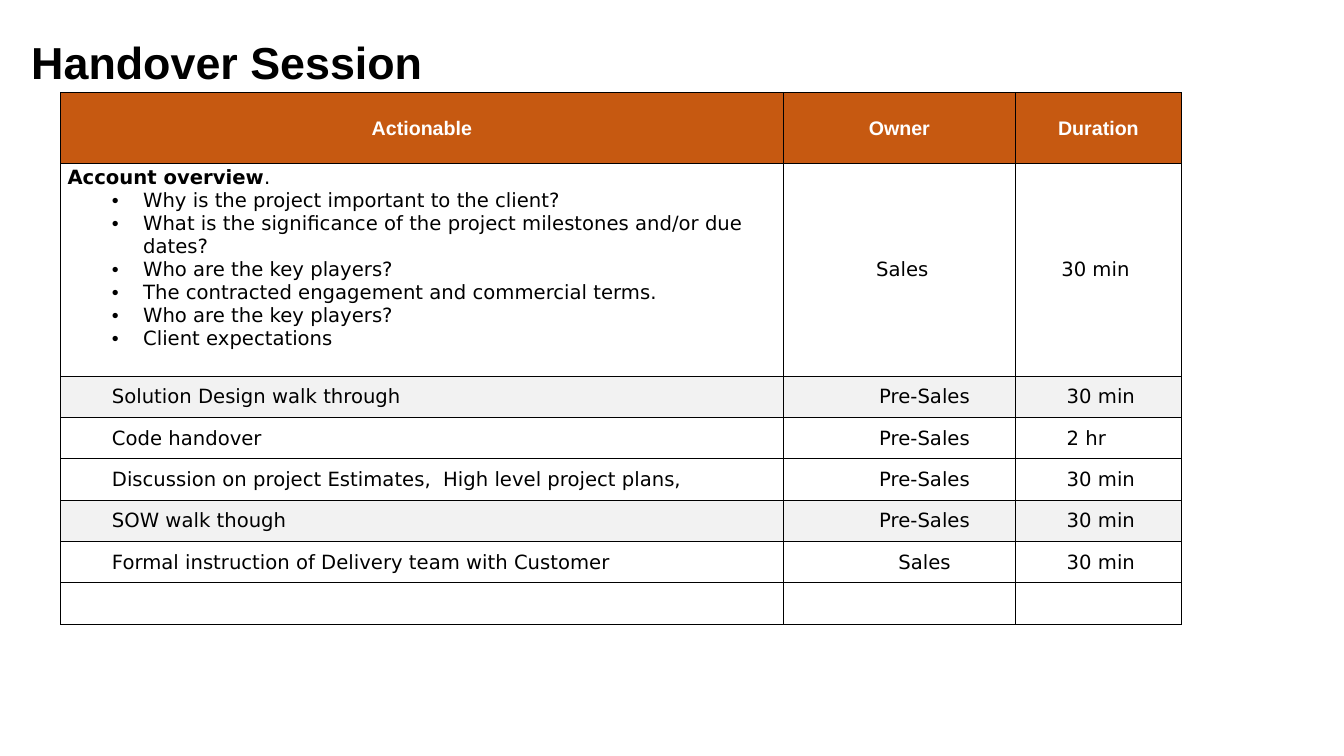
from lxml import etree
from pptx import Presentation
from pptx import util as u
from pptx.dml.color import RGBColor
from pptx.enum import text
from pptx.oxml import ns

BLACK = RGBColor(0x00, 0x00, 0x00)
WHITE = RGBColor(0xFF, 0xFF, 0xFF)
ORANGE = RGBColor(0xC6, 0x59, 0x11)
GREY = RGBColor(0xF2, 0xF2, 0xF2)
LEFT, CENTER = text.PP_ALIGN.LEFT, text.PP_ALIGN.CENTER
HEADER = {"name": "Arial", "size": u.Pt(14), "bold": True}
BODY = {"name": "DejaVu Sans", "size": u.Pt(14), "bold": False}


def add_span(para, words, font, color):
    span = para.add_run()
    span.text = words
    for key, value in font.items():
        setattr(span.font, key, value)
    span.font.color.rgb = color


def indent(para, left, hanging=0):
    props = para._p.get_or_add_pPr()
    props.set("marL", str(u.Inches(left)))
    props.set("indent", str(-u.Inches(hanging)))
    return props


deck = Presentation()
deck.slide_width, deck.slide_height = u.Inches(13.33), u.Inches(7.5)
page = deck.slides.add_slide(deck.slide_layouts[5])

# Title
title = page.shapes.title
title.left, title.top = u.Inches(0.21), u.Inches(0.29)
title.width, title.height = u.Inches(11.42), u.Inches(0.64)
title.text_frame.vertical_anchor = text.MSO_ANCHOR.MIDDLE
para = title.text_frame.paragraphs[0]
para.alignment = LEFT
add_span(para, "Handover Session", HEADER | {"size": u.Pt(32)}, BLACK)

# Table content
headings = ["Actionable", "Owner", "Duration"]
questions = [
    "Why is the project important to the client?",
    "What is the significance of the project milestones and/or due dates?",
    "Who are the key players?",
    "The contracted engagement and commercial terms.",
    "Who are the key players?",
    "Client expectations",
]
steps = [
    ["Solution Design walk through", "Pre-Sales", "30 min"],
    ["Code handover", "Pre-Sales", "2 hr"],
    ["Discussion on project Estimates,  High level project plans,", "Pre-Sales", "30 min"],
    ["SOW walk though", "Pre-Sales", "30 min"],
    ["Formal instruction of Delivery team with Customer", "Sales", "30 min"],
]
shaded_rows = {2, 5}
widths = [7.17, 2.3, 1.65]
heights = [0.7, 2.11] + [0.41] * (len(steps) + 1)

# Table grid
table = page.shapes.add_table(
    len(heights), len(widths), u.Inches(0.6), u.Inches(0.92),
    u.Inches(sum(widths)), u.Inches(sum(heights))).table
table.first_row = table.horz_banding = False
for column, width in zip(table.columns, widths):
    column.width = u.Inches(width)
for row, height in zip(table.rows, heights):
    row.height = u.Inches(height)

# Cell borders, margins and fills
cell_format = {
    "margin_left": u.Inches(0.01), "margin_top": u.Inches(0.01),
    "margin_right": u.Inches(0.01), "margin_bottom": 0,
    "vertical_anchor": text.MSO_ANCHOR.MIDDLE,
}
for r, row in enumerate(table.rows):
    for cell in row.cells:
        for key, value in cell_format.items():
            setattr(cell, key, value)
        props = cell._tc.get_or_add_tcPr()
        for side in ("lnL", "lnR", "lnT", "lnB"):
            line = etree.SubElement(props, ns.qn(f"a:{side}"), w=str(u.Pt(0.5)))
            solid = etree.SubElement(line, ns.qn("a:solidFill"))
            etree.SubElement(solid, ns.qn("a:srgbClr"), val=str(BLACK))
        if r == 0 or r in shaded_rows:
            cell.fill.solid()
            cell.fill.fore_color.rgb = GREY if r else ORANGE
        else:
            cell.fill.background()

# Header row
for c, heading in enumerate(headings):
    para = table.cell(0, c).text_frame.paragraphs[0]
    para.alignment = CENTER
    add_span(para, heading, HEADER, WHITE)

# Account overview row
overview = table.cell(1, 0)
overview.margin_bottom = u.Inches(0.24)
para = overview.text_frame.paragraphs[0]
indent(para, 0.06)
add_span(para, "Account overview", BODY | {"bold": True}, BLACK)
add_span(para, ".", BODY, BLACK)
for question in questions:
    para = overview.text_frame.add_paragraph()
    para.level = 1
    props = indent(para, 0.81, 0.31)
    etree.SubElement(props, ns.qn("a:buFont"), typeface="Arial")
    etree.SubElement(props, ns.qn("a:buChar"), char="•")
    add_span(para, question, BODY, BLACK)
for c, words in enumerate(["Sales", "30 min"], start=1):
    para = table.cell(1, c).text_frame.paragraphs[0]
    para.alignment = CENTER
    add_span(para, words, BODY, BLACK)
indent(table.cell(1, 1).text_frame.paragraphs[0], 0.06)
table.cell(1, 2).margin_right = u.Inches(0.07)

# Step rows
for r, step in enumerate(steps, start=2):
    for c, words in enumerate(step):
        para = table.cell(r, c).text_frame.paragraphs[0]
        para.level = 1
        para.alignment = CENTER if c == 1 else LEFT
        indent(para, 0.5)
        add_span(para, words, BODY, BLACK)

deck.save("out.pptx")
